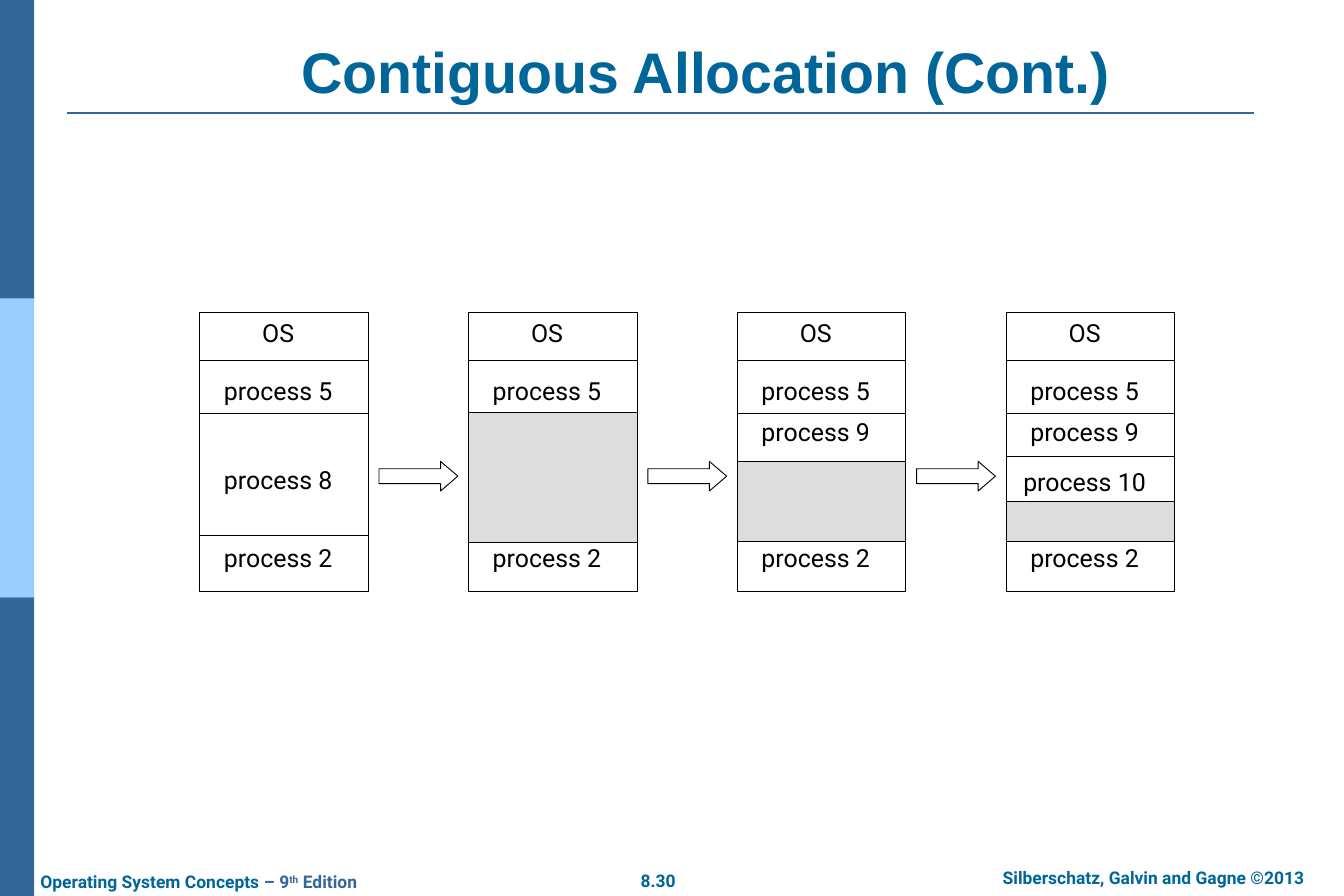
import pptx
import pptx.dml.color
import pptx.enum.shapes
import pptx.enum.text
import pptx.oxml.ns
import pptx.util
from pptx.dml.color import RGBColor
from pptx.util import Inches
from lxml import etree

DARK_BLUE = RGBColor(0x33, 0x66, 0x99)
LIGHT_BLUE = RGBColor(0x99, 0xCC, 0xFF)
TEXT_BLUE = RGBColor(0x00, 0x66, 0x99)
BLACK = RGBColor(0, 0, 0)
WHITE = RGBColor(0xFF, 0xFF, 0xFF)
FREE_GREY = RGBColor(0xDD, 0xDD, 0xDD)

SHAPES = pptx.enum.shapes.MSO_SHAPE
ANCHOR = pptx.enum.text.MSO_ANCHOR
ALIGN = pptx.enum.text.PP_ALIGN

TITLE_FONT = {"name": "Arial", "size": pptx.util.Pt(46), "bold": True}
FOOTER_FONT = {"name": "Roboto", "size": pptx.util.Pt(14), "bold": True}
LABEL_FONT = {"name": "Roboto", "size": pptx.util.Pt(20), "bold": False}
MARGINS = {
    "margin_left": Inches(0.14), "margin_right": Inches(0.14),
    "margin_top": Inches(0.07), "margin_bottom": Inches(0.07),
}

# Memory columns
COLUMN_LEFT, COLUMN_STEP, COLUMN_WIDTH = 2.23, 3, 1.88
COLUMN_TOP, COLUMN_HEIGHT = 3.49, 3.11
DIVIDERS = [4.02, 4.62, 5.98]
LABEL_WIDTH, LABEL_HEIGHT = 1.75, 0.48
COMMON_LABELS = [("OS", 3.47), ("process 5", 4.12), ("process 2", 5.98)]
# Per column: extra labels (text, top), free block (top, height), extra dividers
STAGES = [
    ([("process 8", 5.11)], None, []),
    ([], (4.6, 1.45), []),
    ([("process 9", 4.58)], (5.15, 0.89), []),
    ([("process 9", 4.58), ("process 10", 5.13)], (5.6, 0.44), [5.09]),
]


def set_attributes(target, values):
    for name, value in values.items():
        setattr(target, name, value)


def add_block(slide, kind, left, top, width, height, fill, outlined=True):
    shape = slide.shapes.add_shape(
        kind, Inches(left), Inches(top), Inches(width), Inches(height))
    shape.shadow.inherit = False
    shape.fill.solid()
    shape.fill.fore_color.rgb = fill
    if outlined:
        shape.line.color.rgb = BLACK
        shape.line.width = pptx.util.Pt(0.75)
    else:
        shape.line.fill.background()
    return shape


def add_rule(slide, left, right, y, color=BLACK, weight=0.75):
    connector = slide.shapes.add_connector(
        pptx.enum.shapes.MSO_CONNECTOR.STRAIGHT,
        Inches(left), Inches(y), Inches(right), Inches(y))
    connector.line.color.rgb = color
    connector.line.width = pptx.util.Pt(weight)
    properties = connector._element.spPr
    etree.SubElement(properties, pptx.oxml.ns.qn("a:effectLst"))


def add_text(slide, left, top, width, height, runs, font,
             align=ALIGN.CENTER, anchor=ANCHOR.TOP, wrap=True):
    """Add one paragraph made of (text, color) runs."""
    box = slide.shapes.add_textbox(
        Inches(left), Inches(top), Inches(width), Inches(height))
    set_attributes(box.text_frame, {
        **MARGINS, "word_wrap": wrap, "vertical_anchor": anchor})
    paragraph = box.text_frame.paragraphs[0]
    paragraph.alignment = align
    for text, color in runs:
        run = paragraph.add_run()
        run.text = text
        set_attributes(run.font, font)
        run.font.color.rgb = color
    return paragraph


def add_frame(slide):
    # Side bars and title rule
    bar_height = 10 / 3
    for index, color in enumerate([DARK_BLUE, LIGHT_BLUE, DARK_BLUE]):
        add_block(slide, SHAPES.RECTANGLE, 0, index * bar_height,
                  0.38, bar_height, color, outlined=False)
    add_rule(slide, 0.75, 14, 1.26, DARK_BLUE, 1.5)

    # Footer
    add_text(slide, 7, 9.64, 0.69, 0.38, [("8.30", TEXT_BLUE)],
             FOOTER_FONT, wrap=False)
    add_text(slide, 10.65, 9.61, 4.45, 0.38,
             [("Silberschatz, Galvin and Gagne ©2013", TEXT_BLUE)], FOOTER_FONT)
    edition = add_text(
        slide, 0.31, 9.65, 4.08, 0.38,
        [("Operating System Concepts", TEXT_BLUE), (" – 9", DARK_BLUE),
         ("th", DARK_BLUE), (" Edition", DARK_BLUE)],
        FOOTER_FONT, align=ALIGN.LEFT, wrap=False)
    edition.runs[2]._r.get_or_add_rPr().set("baseline", "30000")


def add_memory_column(slide, left, labels, free_block, extra_dividers):
    add_block(slide, SHAPES.RECTANGLE, left, COLUMN_TOP,
              COLUMN_WIDTH, COLUMN_HEIGHT, WHITE)
    for y in DIVIDERS + extra_dividers:
        add_rule(slide, left, left + COLUMN_WIDTH, y)
    if free_block:
        top, height = free_block
        add_block(slide, SHAPES.RECTANGLE, left, top,
                  COLUMN_WIDTH, height, FREE_GREY)
    for text, top in COMMON_LABELS + labels:
        add_text(slide, left, top, LABEL_WIDTH, LABEL_HEIGHT,
                 [(text, BLACK)], LABEL_FONT, anchor=ANCHOR.MIDDLE)


def add_step_arrow(slide, left):
    arrow = add_block(slide, SHAPES.RIGHT_ARROW, left, 5.15, 0.88, 0.33, WHITE)
    arrow.adjustments[1] = 0.583


def main():
    presentation = pptx.Presentation()
    presentation.slide_width = Inches(15)
    presentation.slide_height = Inches(10)
    slide = presentation.slides.add_slide(presentation.slide_layouts[6])

    add_frame(slide)
    add_text(slide, 1.5, 0.4, 12.75, 0.84,
             [("Contiguous Allocation (Cont.)", TEXT_BLUE)],
             TITLE_FONT, anchor=ANCHOR.BOTTOM)

    # Allocation stages, with an arrow before each stage but the first
    for index, stage in enumerate(STAGES):
        left = COLUMN_LEFT + index * COLUMN_STEP
        add_memory_column(slide, left, *stage)
        if index:
            add_step_arrow(slide, left - 1)

    presentation.save("out.pptx")


if __name__ == "__main__":
    main()
